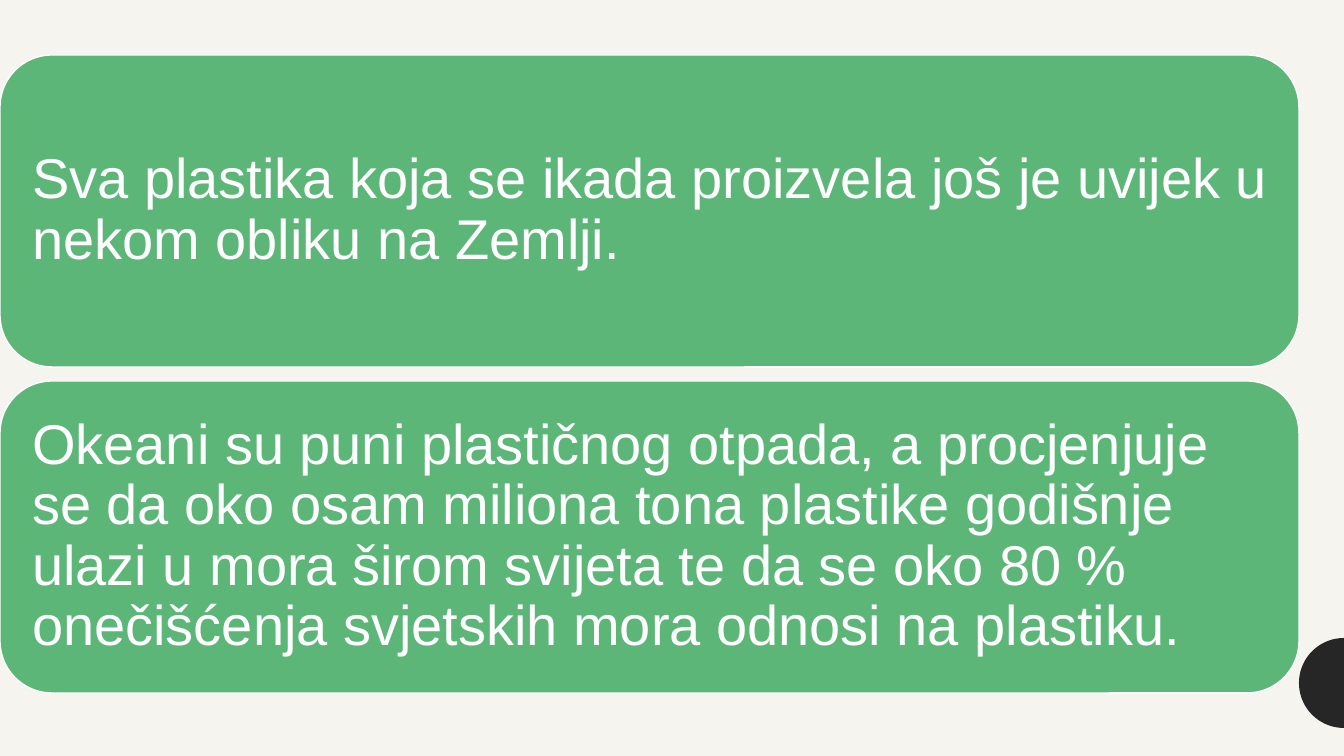
from math import cos, pi, sin

from pptx import Presentation
from pptx.dml.color import RGBColor
from pptx.enum.shapes import MSO_SHAPE as Shape
from pptx.enum.text import MSO_ANCHOR as Anchor, PP_ALIGN as Align
from pptx.util import Emu, Pt

SLIDE_WIDTH, SLIDE_HEIGHT = 1344, 756
EMU_PER_PX = 12192000 / SLIDE_WIDTH

CREAM = RGBColor(0xF6, 0xF4, 0xEF)
GREEN = RGBColor(0x5C, 0xB6, 0x78)
WHITE = RGBColor(0xFF, 0xFF, 0xFF)
CHARCOAL = RGBColor(0x26, 0x26, 0x26)

CARD_TOP, CARD_WIDTH, CARD_HEIGHT, CARD_GAP = 55, 1299, 312, 14
CARD_INSET = 17
FACTS = [
    "Sva plastika koja se ikada proizvela još je uvijek u nekom obliku na Zemlji.",
    "Okeani su puni plastičnog otpada, a procjenjuje se da oko osam miliona tona "
    "plastike godišnje ulazi u mora širom svijeta te da se oko 80 % onečišćenja "
    "svjetskih mora odnosi na plastiku.",
]


def px(length):
    return Emu(round(length * EMU_PER_PX))


def set_background(slide, color):
    fill = slide.background.fill
    fill.solid()
    fill.fore_color.rgb = color


def add_half_disc(slide, center_x, center_y, radius, color, steps=36):
    angles = [pi / 2 + pi * step / steps for step in range(steps + 1)]
    points = [
        (px(center_x + radius * cos(angle)), px(center_y + radius * sin(angle)))
        for angle in angles
    ]
    builder = slide.shapes.build_freeform(*points[0])
    builder.add_line_segments(points[1:], close=True)
    shape = builder.convert_to_shape()
    shape.shadow.inherit = False
    shape.fill.solid()
    shape.fill.fore_color.rgb = color
    shape.line.fill.background()


def add_fact_card(slide, top, text):
    shape = slide.shapes.add_shape(
        Shape.ROUNDED_RECTANGLE, 0, px(top), px(CARD_WIDTH), px(CARD_HEIGHT)
    )
    shape.shadow.inherit = False
    shape.fill.solid()
    shape.fill.fore_color.rgb = GREEN
    shape.line.color.rgb = WHITE
    shape.line.width = Pt(1)

    frame = shape.text_frame
    frame.word_wrap = True
    frame.vertical_anchor = Anchor.MIDDLE
    frame.margin_left = frame.margin_right = px(CARD_INSET)
    frame.margin_top = frame.margin_bottom = px(CARD_INSET)

    paragraph = frame.paragraphs[0]
    paragraph.text = text
    paragraph.alignment = Align.LEFT
    paragraph.line_spacing = 0.9
    paragraph.font.name = "Arial"
    paragraph.font.size = Pt(40)
    paragraph.font.color.rgb = WHITE


def main():
    presentation = Presentation()
    presentation.slide_width = px(SLIDE_WIDTH)
    presentation.slide_height = px(SLIDE_HEIGHT)
    slide = presentation.slides.add_slide(presentation.slide_layouts[6])

    set_background(slide, CREAM)
    add_half_disc(slide, SLIDE_WIDTH, 683, 45, CHARCOAL)
    for index, fact in enumerate(FACTS):
        add_fact_card(slide, CARD_TOP + index * (CARD_HEIGHT + CARD_GAP), fact)

    presentation.save("out.pptx")


if __name__ == "__main__":
    main()
